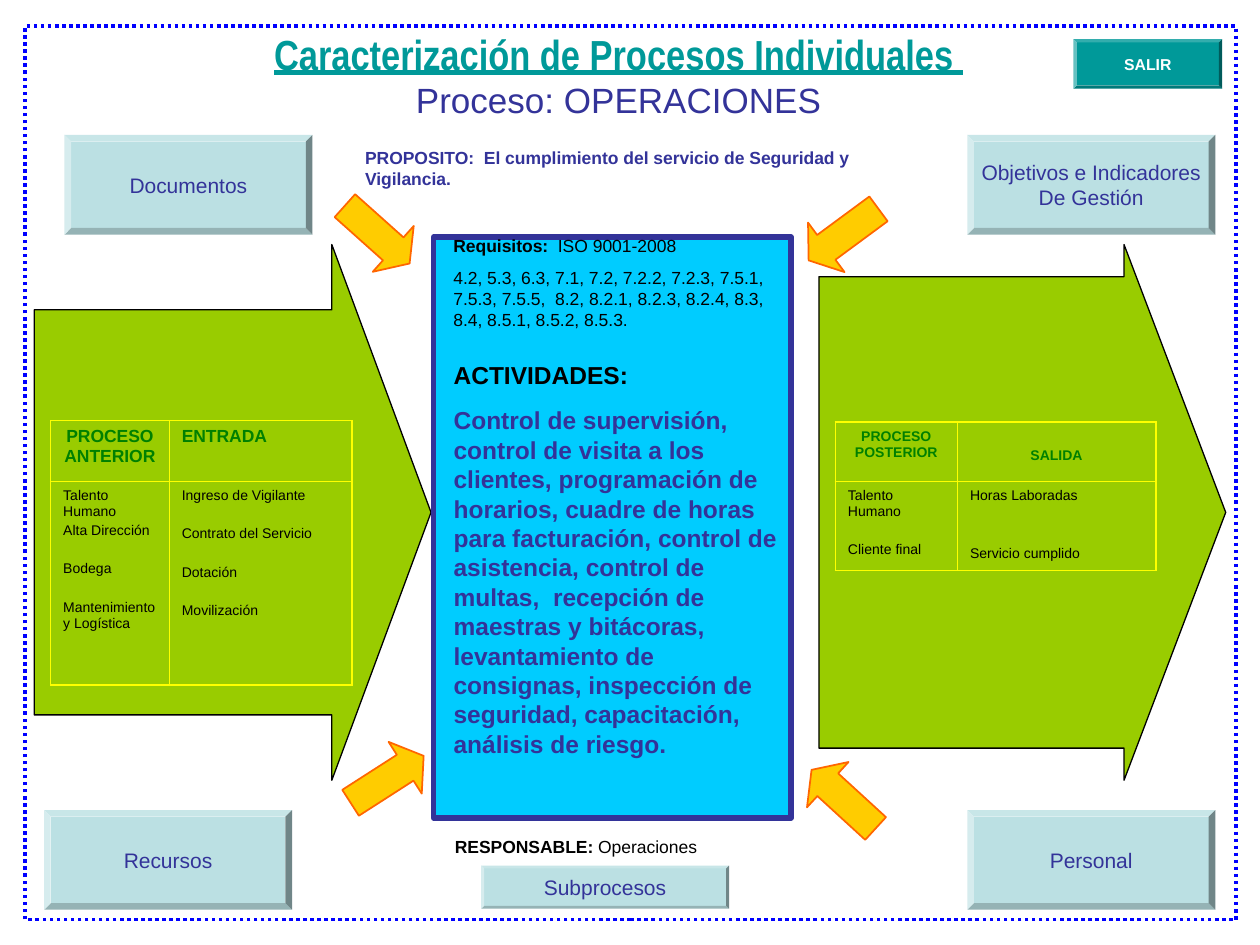
from dataclasses import dataclass

from lxml import etree
from pptx import Presentation
from pptx.dml.color import RGBColor
from pptx.enum.dml import MSO_LINE
from pptx.enum.shapes import MSO_SHAPE
from pptx.enum.text import MSO_ANCHOR, MSO_AUTO_SIZE, PP_ALIGN
from pptx.oxml.ns import qn
from pptx.util import Cm, Pt

ARROW, BEVEL, RECT = MSO_SHAPE.RIGHT_ARROW, MSO_SHAPE.BEVEL, MSO_SHAPE.RECTANGLE
DOTTED = MSO_LINE.ROUND_DOT
CENTER, LEFT = PP_ALIGN.CENTER, PP_ALIGN.LEFT
MIDDLE, BOTTOM = MSO_ANCHOR.MIDDLE, MSO_ANCHOR.BOTTOM
NO_FIT = MSO_AUTO_SIZE.NONE

COLORS = {
    "black": "000000", "white": "FFFFFF", "teal": "009999", "indigo": "333399",
    "lime": "99CC00", "cyan": "00CCFF", "gold": "FFCC00", "orange": "FF6600",
    "blue": "0000FF", "yellow": "FFFF00", "green": "008000", "pale": "BBE0E3",
}


@dataclass
class Run:
    """A stretch of text in one format."""
    text: str
    size: float
    color: str = "black"
    bold: bool = False
    font: str = "Arial"
    underline: bool = False


@dataclass
class Para:
    """A paragraph: its runs, alignment and spacing."""
    runs: list[Run]
    before: float = 0
    align: PP_ALIGN = LEFT
    line: float = 1.0


@dataclass
class Box:
    """A place on the slide in centimetres."""
    x: float
    y: float
    w: float
    h: float

    def lengths(self) -> list[Cm]:
        """Return left, top, width and height."""
        return [Cm(v) for v in (self.x, self.y, self.w, self.h)]


@dataclass
class Button:
    """A bevelled button with centred lines of text."""
    text: str
    box: Box
    size: float = 12
    fill: str = "pale"
    color: str = "indigo"
    bold: bool = False


@dataclass
class Pointer:
    """A small arrow aimed at the central panel."""
    x: float
    y: float
    angle: float


@dataclass
class Grid:
    """A two-column table with a heading row; a cell is a list of Para."""
    x: float
    y: float
    cols: list[float]
    rows: list[float]
    cells: list[list[list[Para]]]
    fill: str = ""


def rgb(name: str) -> RGBColor:
    """Look up a named colour."""
    return RGBColor.from_string(COLORS[name])


def write(tf, paras: list[Para]) -> None:
    """Fill a text frame with formatted paragraphs."""
    tf.text = "\n".join("" for _ in paras)
    for p, para in zip(tf.paragraphs, paras):
        p.alignment, p.line_spacing = para.align, para.line
        p.space_before = Pt(para.before)
        for run in para.runs:
            r = p.add_run()
            r.text = run.text
            r.font.name, r.font.size = run.font, Pt(run.size)
            r.font.bold, r.font.underline = run.bold, run.underline
            r.font.color.rgb = rgb(run.color)


def add_shape(slide, kind, box: Box, fill="", line="", width=0.75, adj=(), angle=0.0):
    """Draw a preset shape without shadow."""
    sp = slide.shapes.add_shape(kind, *box.lengths())
    sp.shadow.inherit = False
    sp.rotation = angle
    for i, value in enumerate(adj):
        sp.adjustments[i] = value
    for target, color in ((sp.fill, fill), (sp.line.fill, line)):
        if color:
            target.solid()
            target.fore_color.rgb = rgb(color)
        else:
            target.background()
    if line:
        sp.line.width = Pt(width)
    return sp


def add_text(slide, box: Box, paras: list[Para]) -> None:
    """Add a wrapped text box."""
    tf = slide.shapes.add_textbox(*box.lengths()).text_frame
    tf.word_wrap = True
    write(tf, paras)


def place(sp, box: Box, paras: list[Para], anchor=None) -> None:
    """Move a placeholder to the front and fill it with plain paragraphs."""
    sp.left, sp.top, sp.width, sp.height = box.lengths()
    tf = sp.text_frame
    tf.auto_size, tf.word_wrap = NO_FIT, True
    if anchor is not None:
        tf.vertical_anchor = anchor
    write(tf, paras)
    for p in tf.paragraphs:
        pPr = p._p.get_or_add_pPr()
        pPr.set("marL", "0")
        pPr.set("indent", "0")
        etree.SubElement(pPr, qn("a:buNone"))
    sp.element.getparent().append(sp.element)


def add_button(slide, b: Button) -> None:
    """Draw a bevelled button."""
    tf = add_shape(slide, BEVEL, b.box, b.fill, adj=(0.067,)).text_frame
    tf.word_wrap, tf.vertical_anchor = False, MIDDLE
    write(tf, [Para([Run(t, b.size, b.color, b.bold)], align=CENTER)
               for t in b.text.split("\n")])


def add_border(cell, side: str, width: float) -> None:
    """Give one side of a cell a yellow line."""
    ln = etree.SubElement(cell._tc.get_or_add_tcPr(), qn(f"a:ln{side}"), w=str(Pt(width)))
    fill = etree.SubElement(ln, qn("a:solidFill"))
    etree.SubElement(fill, qn("a:srgbClr"), val=COLORS["yellow"])


def add_grid(slide, g: Grid) -> None:
    """Add a table with thick outer and thin inner lines."""
    box = Box(g.x, g.y, sum(g.cols), sum(g.rows))
    table = slide.shapes.add_table(len(g.rows), len(g.cols), *box.lengths()).table
    table.first_row = table.horz_banding = False
    for tracks, sizes in ((table.columns, g.cols), (table.rows, g.rows)):
        for i, size in enumerate(sizes):
            if tracks is table.columns or len(sizes) and hasattr(tracks[i], "width"):
                tracks[i].width = Cm(size)
            else:
                tracks[i].height = Cm(size)
    for i, row in enumerate(g.cells):
        for j, paras in enumerate(row):
            cell = table.cell(i, j)
            outer = {"L": j == 0, "R": j == len(g.cols) - 1,
                     "T": i == 0, "B": i == len(g.rows) - 1}
            for side, is_outer in outer.items():
                add_border(cell, side, 1.08 if is_outer else 0.45)
            if g.fill:
                cell.fill.solid()
                cell.fill.fore_color.rgb = rgb(g.fill)
            else:
                cell.fill.background()
            write(cell.text_frame, paras)
            if paras[0].before > 10:
                cell.margin_top = Cm(0.13) + Pt(paras[0].before)
                cell.text_frame.paragraphs[0].space_before = Pt(0)


def head(text: str, size: float, align=CENTER, before=2.0) -> list[Para]:
    """Make the content of a heading cell."""
    return [Para([Run(text, size, "green", True)], before, align)]


def items(*entries: tuple[str, float]) -> list[Para]:
    """Make the content of a list cell from texts and gaps above."""
    return [Para([Run(text, 8)], before) for text, before in entries]


BUTTONS = [
    Button("Recursos", Box(0.89, 16.33, 5, 2.01)),
    Button("Personal", Box(19.5, 16.33, 5, 2.01)),
    Button("Documentos", Box(1.3, 2.72, 5, 2.01)),
    Button("Objetivos e Indicadores\nDe Gestión", Box(19.5, 2.72, 5, 2.01)),
    Button("SALIR", Box(21.64, 0.79, 3, 1), 9, "teal", "white", True),
    Button("Subprocesos", Box(9.7, 17.45, 5, 0.87)),
]
POINTERS = [Pointer(6.93, 15.09, 327.3), Pointer(6.73, 4.11, 41.8),
            Pointer(16.13, 15.49, 222.5), Pointer(16.13, 4.11, 143.6)]
GRIDS = [
    Grid(1.02, 8.48, [2.39, 3.68], [1.22, 4.11], [
        [head("PROCESO ANTERIOR", 10), head("ENTRADA", 10, LEFT)],
        [items(("Talento Humano", 2), ("Alta Dirección", 2), ("Bodega", 13),
               ("Mantenimiento y Logística", 13)),
         items(("Ingreso de Vigilante", 2), ("Contrato del Servicio", 13),
               ("Dotación", 13), ("Movilización", 13))]], "lime"),
    Grid(16.84, 8.51, [2.46, 4], [1.19, 1.8], [
        [head("PROCESO POSTERIOR", 8), head("SALIDA", 8, before=11)],
        [items(("Talento Humano", 2), ("Cliente final", 13)),
         items(("Horas Laboradas", 2), ("Servicio cumplido", 24))]]),
]
ACTIVITIES = (
    "Control de supervisión, control de visita a los clientes, programación de horarios, "
    "cuadre de horas para facturación, control de asistencia, control de multas,  recepción "
    "de maestras y bitácoras, levantamiento de consignas, inspección de seguridad, "
    "capacitación, análisis de riesgo.")
CLAUSES = ("4.2, 5.3, 6.3, 7.1, 7.2, 7.2.2, 7.2.3, 7.5.1, 7.5.3, 7.5.5,  8.2, 8.2.1, 8.2.3, "
           "8.2.4, 8.3, 8.4, 8.5.1, 8.5.2, 8.5.3.")
PURPOSE = "PROPOSITO:  El cumplimiento del servicio de Seguridad y Vigilancia."


def main() -> None:
    """Build the process sheet and save it."""
    prs = Presentation()
    prs.slide_width, prs.slide_height = Cm(25.4), Cm(19.05)
    slide = prs.slides.add_slide(prs.slide_layouts[1])
    title, body = slide.placeholders
    add_shape(slide, ARROW, Box(16.51, 4.93, 8.2, 10.8), "lime", "black", adj=(0.88, 0.25))
    add_shape(slide, ARROW, Box(0.69, 4.93, 8, 10.8), "lime", "black", adj=(0.756, 0.25))
    place(title, Box(3.3, 0.91, 18.34, 1.65), [
        Para([Run("Caracterización de Procesos Individuales ", 24, "teal", True,
                  "Arial Narrow", True)], align=CENTER),
        Para([Run("Proceso: OPERACIONES", 20, "indigo")], align=CENTER)], BOTTOM)
    add_shape(slide, RECT, Box(8.74, 4.78, 7.21, 11.71), "cyan", "indigo", 3)
    frame = add_shape(slide, RECT, Box(0.51, 0.53, 24.41, 18.01), line="blue", width=2)
    frame.line.dash_style = DOTTED
    for a in POINTERS:
        add_shape(slide, ARROW, Box(a.x, a.y, 1.75, 1.24), "gold", "orange", 1,
                  (0.5, 0.357), a.angle)
    for g in GRIDS:
        add_grid(slide, g)
    add_text(slide, Box(8.92, 16.81, 7, 0.61), [
        Para([Run("RESPONSABLE: ", 10, bold=True), Run("Operaciones", 10)], 5, line=0.8)])
    place(body, Box(8.89, 7.14, 7.21, 9.17), [
        Para([Run("ACTIVIDADES:", 14, bold=True)], 8.8),
        Para([Run(ACTIVITIES, 14, "indigo", True)], 8.8)])
    add_text(slide, Box(8.89, 4.62, 7, 2.18), [
        Para([Run("Requisitos:  ", 10, bold=True), Run("ISO 9001-2008", 10)], 6.2),
        Para([Run(CLAUSES, 10)], 6.2)])
    add_text(slide, Box(7.11, 2.84, 12, 1.12), [Para([Run(PURPOSE, 10, "indigo", True)], 6.2)])
    for b in BUTTONS:
        add_button(slide, b)
    prs.save("out.pptx")


main()
